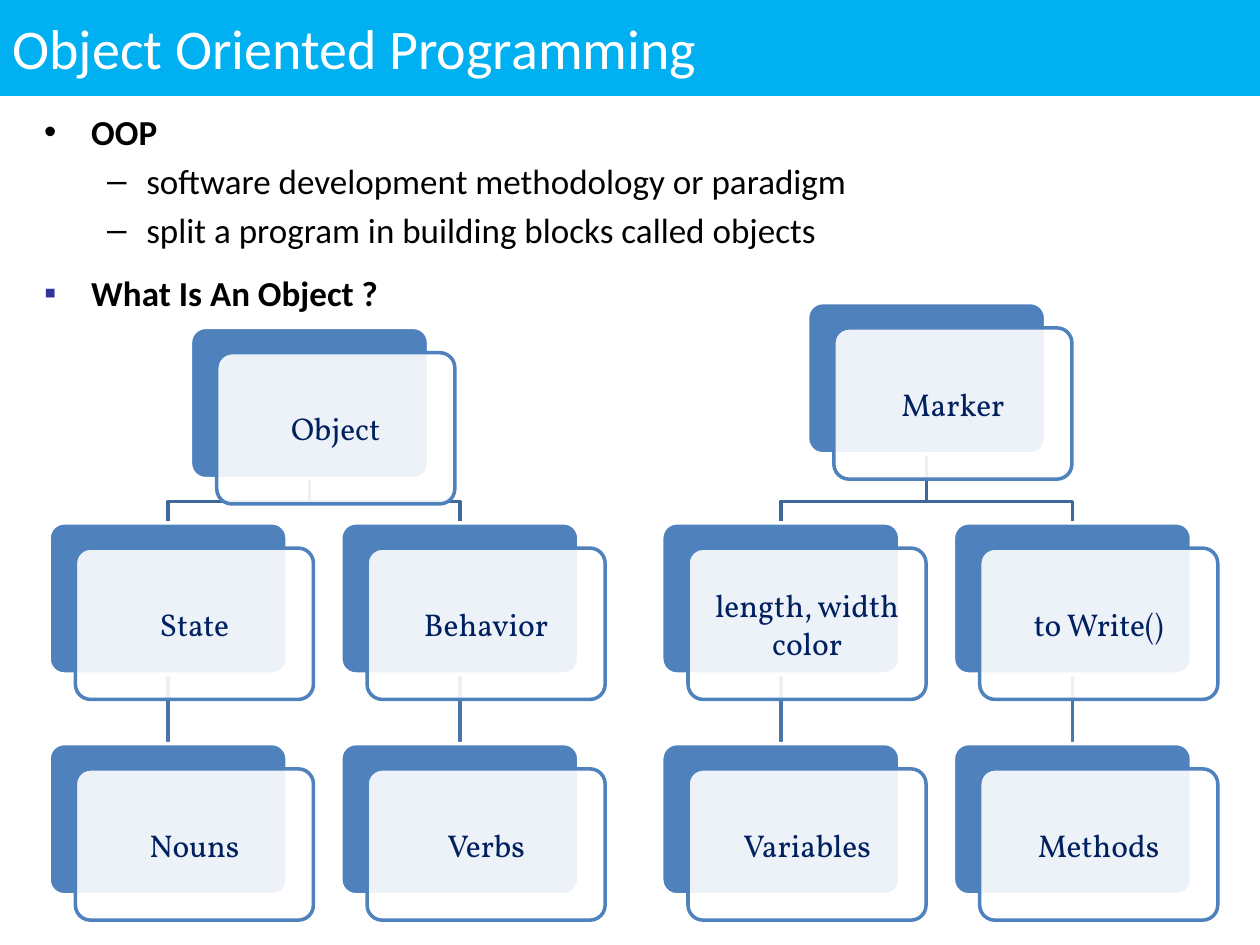
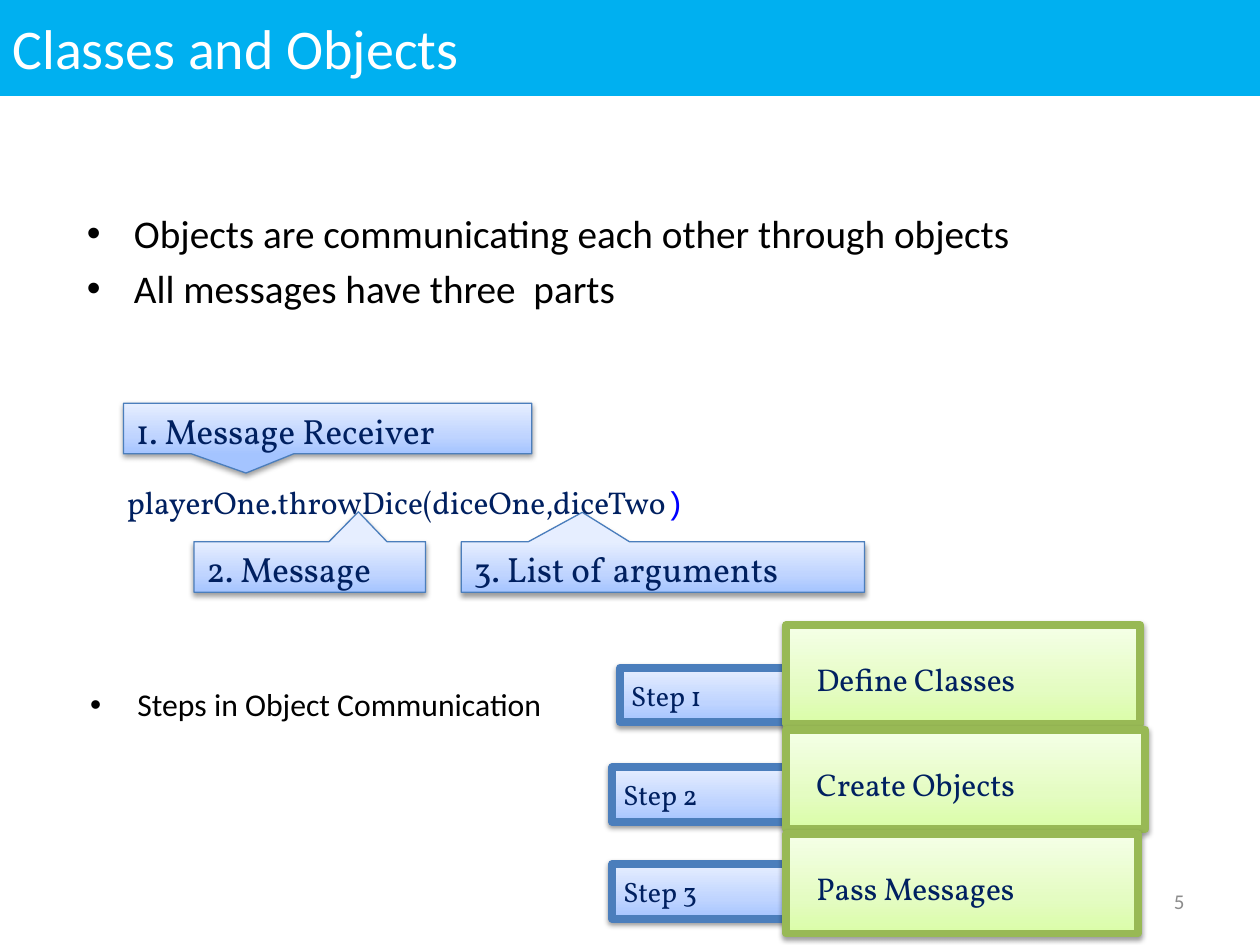
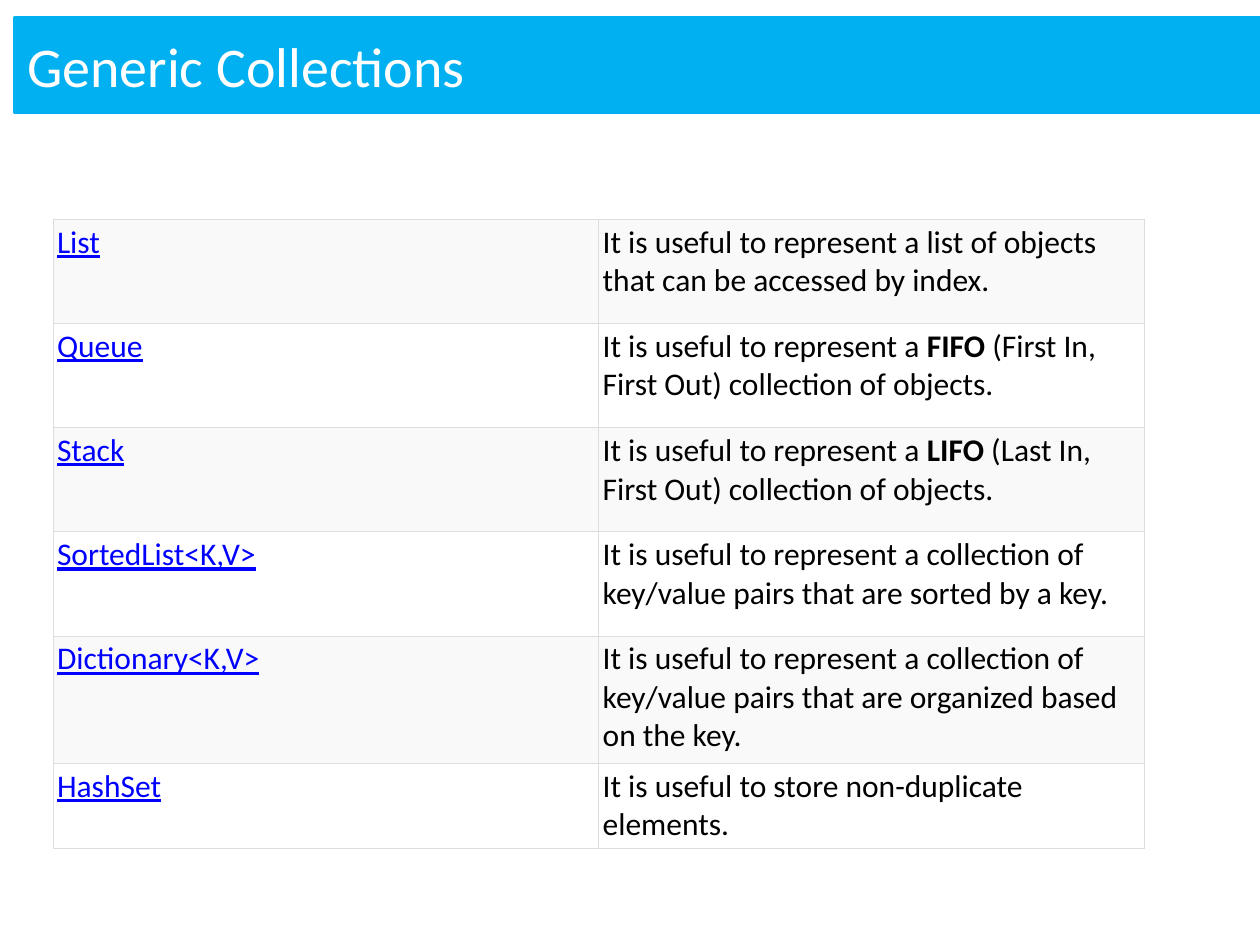
from copy import deepcopy
from dataclasses import dataclass

from lxml.etree import SubElement
from pptx import Presentation
from pptx.dml.color import RGBColor as Rgb
from pptx.enum.shapes import MSO_CONNECTOR as Link, MSO_SHAPE as Preset
from pptx.enum.text import MSO_ANCHOR as Anchor, PP_ALIGN as Align
from pptx.oxml.ns import qn
from pptx.util import Cm, Pt


@dataclass(frozen=True)
class Theme:
    body_font: str = "Calibri"
    label_font: str = "Vollkorn"
    code_font: str = "Courier New"
    white: str = "FFFFFF"
    black: str = "000000"
    band: str = "00B0F0"
    navy: str = "002060"
    blue: str = "0000FF"
    square_bullet: str = "333399"
    card: str = "4F81BD"
    branch: str = "3F6797"
    stem: str = "4875AC"
    step_line: str = "4B7EBC"
    task_line: str = "98B955"
    blue_stops: tuple = ((0, "A4C4FF"), (0.35, "BFD4FF"), (1, "E6EEFF"))
    green_stops: tuple = ((0, "DAFDA7"), (0.35, "E4FCC2"), (1, "F5FFE7"))
    page_number: str = "8C8C8C"
    grid: str = "DDDDDD"
    stripe: str = "F9F9F9"
    title_size: float = 32
    bullet_size: float = 22.4
    large_size: float = 20
    note_size: float = 18.1
    label_size: float = 18
    step_size: float = 16
    number_size: float = 12


THEME = Theme()
CARD_W, CARD_H = 4.8, 3.05
CARD_SHIFT_X, CARD_SHIFT_Y = 0.53, 0.51
COLUMN_STEP = 5.88
ROW_TOPS = (10.54, 14.99)


def style_run(run, size, color=THEME.navy, font=THEME.label_font, bold=False):
    run.font.size = Pt(size)
    run.font.color.rgb = Rgb.from_string(color)
    run.font.name = font
    run.font.bold = bold


def set_insets(frame, left, top, right, bottom):
    frame.margin_left, frame.margin_top = Cm(left), Cm(top)
    frame.margin_right, frame.margin_bottom = Cm(right), Cm(bottom)


def write(frame, text, size, color=THEME.navy, font=THEME.label_font,
          align=Align.LEFT, anchor=Anchor.TOP):
    """Put one evenly styled paragraph in a frame and return it."""
    frame.word_wrap = True
    frame.vertical_anchor = anchor
    frame.text = text
    paragraph = frame.paragraphs[0]
    paragraph.alignment = align
    style_run(paragraph.runs[0], size, color, font)
    return paragraph


def add_text_frame(slide, left, top, width, height):
    frame = slide.shapes.add_textbox(Cm(left), Cm(top), Cm(width), Cm(height)).text_frame
    frame.word_wrap = True
    return frame


def add_panel(slide, preset, box, line, line_width, fill=None):
    panel = slide.shapes.add_shape(preset, *(Cm(length) for length in box))
    panel.shadow.inherit = False
    panel.line.color.rgb = Rgb.from_string(line)
    panel.line.width = Pt(line_width)
    if fill:
        panel.fill.solid()
        panel.fill.fore_color.rgb = Rgb.from_string(fill)
    return panel


def add_raised_panel(slide, preset, box, stops, line, line_width):
    """Add a panel with a vertical three-stop gradient and a soft shadow below."""
    panel = add_panel(slide, preset, box, line, line_width)
    panel.fill.gradient()
    panel.fill.gradient_angle = 90
    properties = panel._element.spPr
    stop_list = properties.find(f".//{qn('a:gsLst')}")
    stop_list.append(deepcopy(stop_list[0]))
    for stop, (position, color) in zip(panel.fill.gradient_stops, stops):
        stop.position = position
        stop.color.rgb = Rgb.from_string(color)
    shadow = SubElement(properties.find(qn("a:effectLst")), qn("a:outerShdw"),
                        blurRad=str(Pt(3.1)), dist=str(Pt(1.6)), dir="5400000", rotWithShape="0")
    shade = SubElement(shadow, qn("a:srgbClr"), val=THEME.black)
    SubElement(shade, qn("a:alpha"), val="38000")
    return panel


def add_title_band(slide, title, left=0, top=0):
    band = add_panel(slide, Preset.RECTANGLE, (left, top, 25.4, 1.91), THEME.band, 2, THEME.band)
    write(band.text_frame, title, THEME.title_size, THEME.white, THEME.body_font,
          anchor=Anchor.MIDDLE)


def add_bullet(paragraph, text, size, mark="•", level=0, bold=False, mark_color=None):
    paragraph.text = text
    paragraph.level = level
    paragraph.space_before = Pt(size * 0.2)
    style_run(paragraph.runs[0], size, THEME.black, THEME.body_font, bold)
    margin, hanging = ((0.95, 0.95), (2.06, 0.79))[level]
    properties = paragraph._p.get_or_add_pPr()
    properties.set("marL", str(Cm(margin)))
    properties.set("indent", str(-Cm(hanging)))
    if mark_color:
        SubElement(SubElement(properties, qn("a:buClr")), qn("a:srgbClr"), val=mark_color)
    SubElement(properties, qn("a:buFont"), typeface="Arial")
    SubElement(properties, qn("a:buChar"), char=mark)


def add_card(slide, label, left, top):
    """Add a solid card with a translucent labelled card shifted over it."""
    back = add_panel(slide, Preset.ROUNDED_RECTANGLE, (left, top, CARD_W, CARD_H),
                     THEME.white, 2, THEME.card)
    front = add_panel(slide, Preset.ROUNDED_RECTANGLE,
                      (left + CARD_SHIFT_X, top + CARD_SHIFT_Y, CARD_W, CARD_H),
                      THEME.card, 2, THEME.white)
    back.adjustments[0] = front.adjustments[0] = 0.1
    tint = front._element.spPr.find(f"{qn('a:solidFill')}/{qn('a:srgbClr')}")
    SubElement(tint, qn("a:alpha"), val="90000")
    set_insets(front.text_frame, 0.27, 0.27, 0.27, 0.27)
    write(front.text_frame, label, THEME.label_size, align=Align.CENTER, anchor=Anchor.MIDDLE)


def add_branch(slide, start_x, start_y, end_x, end_y):
    bend_y = Cm(end_y - 0.43)
    outline = slide.shapes.build_freeform(Cm(start_x), Cm(start_y))
    outline.add_line_segments([(Cm(start_x), bend_y), (Cm(end_x), bend_y),
                               (Cm(end_x), Cm(end_y))], close=False)
    branch = outline.convert_to_shape()
    branch.shadow.inherit = False
    branch.fill.background()
    branch.line.color.rgb = Rgb.from_string(THEME.branch)
    branch.line.width = Pt(2)


def add_stem(slide, x, top, bottom):
    stem = slide.shapes.add_connector(Link.STRAIGHT, Cm(x), Cm(top), Cm(x), Cm(bottom))
    stem.line.color.rgb = Rgb.from_string(THEME.stem)
    stem.line.width = Pt(2)
    SubElement(stem._element.spPr, qn("a:effectLst"))


def add_tree(slide, root, root_left, root_top, left, columns):
    """Draw a root card over columns of two linked cards."""
    lefts = [left + COLUMN_STEP * index for index in range(len(columns))]
    for column_left in lefts:
        center = column_left + CARD_W / 2
        add_branch(slide, root_left + CARD_W / 2, root_top + CARD_H, center, ROW_TOPS[0])
        add_stem(slide, center, ROW_TOPS[0] + CARD_H, ROW_TOPS[1])
    add_card(slide, root, root_left, root_top)
    for column_left, labels in zip(lefts, columns):
        for label, top in zip(labels, ROW_TOPS):
            add_card(slide, label, column_left, top)


def add_callout(slide, text, left, top, width, tip):
    callout = add_raised_panel(slide, Preset.RECTANGULAR_CALLOUT, (left, top, width, 1.02),
                               THEME.blue_stops, THEME.step_line, 0.75)
    callout.adjustments[0], callout.adjustments[1] = tip
    write(callout.text_frame, text, THEME.large_size)


def add_step(slide, label, left, top):
    step = add_raised_panel(slide, Preset.RECTANGLE, (left, top, 3.5, 1.1),
                            THEME.blue_stops, THEME.step_line, 4.5)
    set_insets(step.text_frame, 0.22, 0, 0, 0)
    write(step.text_frame, label, THEME.step_size, anchor=Anchor.MIDDLE)


def add_task(slide, label, top, width):
    task = add_raised_panel(slide, Preset.RECTANGLE, (15.85, top, width, 2),
                            THEME.green_stops, THEME.task_line, 4.5)
    set_insets(task.text_frame, 0.61, 0.79, 0.1, 0.2)
    write(task.text_frame, label, THEME.label_size).line_spacing = 0.9


def fill_cell(cell, parts, color, fill, underline=False):
    """Write the parts as runs, every second one bold, in a bordered cell."""
    properties = cell._tc.get_or_add_tcPr()
    for side in ("a:lnL", "a:lnR", "a:lnT", "a:lnB"):
        border = SubElement(properties, qn(side), w=str(Pt(0.5)))
        SubElement(SubElement(border, qn("a:solidFill")), qn("a:srgbClr"), val=THEME.grid)
    cell.fill.solid()
    cell.fill.fore_color.rgb = Rgb.from_string(fill)
    set_insets(cell, 0.08, 0.08, 0.08, 0.08)
    for index, part in enumerate(parts):
        run = cell.text_frame.paragraphs[0].add_run()
        run.text = part
        style_run(run, THEME.label_size, color, THEME.body_font, bold=index % 2 == 1)
        run.font.underline = underline


def add_collections_table(slide, entries, heights):
    table = slide.shapes.add_table(len(entries), 2, Cm(1.07), Cm(4.42),
                                   Cm(22), Cm(sum(heights))).table
    table.first_row = table.horz_banding = False
    for column in table.columns:
        column.width = Cm(11)
    for index, ((name, *use), height) in enumerate(zip(entries, heights)):
        table.rows[index].height = Cm(height)
        fill = THEME.white if index % 2 else THEME.stripe
        fill_cell(table.cell(index, 0), [name], THEME.blue, fill, underline=True)
        fill_cell(table.cell(index, 1), use, THEME.black, fill)


def build_oop(slide):
    add_title_band(slide, "Object Oriented Programming")
    body = add_text_frame(slide, 0.64, 2.11, 22.86, 15.04)
    add_bullet(body.paragraphs[0], "OOP", THEME.large_size, bold=True)
    for text in ("software development methodology or paradigm",
                 "split a program in building blocks called objects"):
        add_bullet(body.add_paragraph(), text, THEME.large_size, "–", level=1)
    question = body.add_paragraph()
    add_bullet(question, "What Is An Object ?", THEME.large_size, "▪", bold=True,
               mark_color=THEME.square_bullet)
    question.line_spacing = 1.4
    question.space_before = Pt(2)

    add_tree(slide, "Object", 3.84, 6.6, 0.99, (("State", "Nouns"), ("Behavior", "Verbs")))
    add_tree(slide, "Marker", 16.28, 6.1, 13.34,
             (("length, width color", "Variables"), ("to Write()", "Methods")))


def build_messages(slide):
    body = add_text_frame(slide, 1.5, 4.1, 22.86, 2.2)
    add_bullet(body.paragraphs[0], "Objects are communicating each other through objects",
               THEME.bullet_size)
    add_bullet(body.add_paragraph(), "All messages have three  parts", THEME.bullet_size)
    write(add_text_frame(slide, 18.21, 17.65, 5.92, 1.02), "5", THEME.number_size,
          THEME.page_number, THEME.body_font, Align.RIGHT, Anchor.MIDDLE)

    add_callout(slide, "1. Message Receiver", 2.49, 8.13, 8.23, (-0.2, 0.88))
    add_callout(slide, "2. Message", 3.91, 10.92, 4.67, (0.21, -1.09))
    add_callout(slide, "3. List of arguments", 9.3, 10.92, 8.13, (-0.2, -1.08))
    call = write(add_text_frame(slide, 2.31, 9.32, 15.6, 1.32),
                 "playerOne.throwDice(diceOne,diceTwo", THEME.label_size, align=Align.JUSTIFY)
    call.line_spacing = Pt(30)
    closing = call.add_run()
    closing.text = ")"
    style_run(closing, THEME.label_size, THEME.blue, THEME.code_font)

    add_title_band(slide, "Classes and Objects")
    steps = add_text_frame(slide, 1.57, 13.69, 22.86, 0.92)
    add_bullet(steps.paragraphs[0], "Steps in Object Communication", THEME.note_size)
    for number, (left, top) in enumerate(((12.5, 13.46), (12.34, 15.47), (12.34, 17.42)), 1):
        add_step(slide, f"Step {number}", left, top)
    tasks = (("Define Classes", 7.14), ("Create Objects", 7.24), ("Pass Messages", 7.09))
    for index, (label, width) in enumerate(tasks):
        add_task(slide, label, 12.6 + 2.11 * index, width)


def build_collections(slide):
    add_title_band(slide, "Generic Collections", 0.3, 0.36)
    entries = (
        ("List", "It is useful to represent a list of objects that can be accessed by index."),
        ("Queue", "It is useful to represent a ", "FIFO",
         " (First In, First Out) collection of objects."),
        ("Stack", "It is useful to represent a ", "LIFO",
         " (Last In, First Out) collection of objects."),
        ("SortedList<K,V>", "It is useful to represent a collection of key/value pairs "
         "that are sorted by a key."),
        ("Dictionary<K,V>", "It is useful to represent a collection of key/value pairs "
         "that are organized based on the key."),
        ("HashSet", "It is useful to store non-duplicate elements."),
    )
    add_collections_table(slide, entries, [2.1] * 4 + [2.57, 1.7])


def main():
    deck = Presentation()
    deck.slide_width, deck.slide_height = Cm(25.4), Cm(19.05)
    blank = deck.slide_layouts[6]
    for build in (build_oop, build_messages, build_collections):
        build(deck.slides.add_slide(blank))
    deck.save("out.pptx")


if __name__ == "__main__":
    main()
